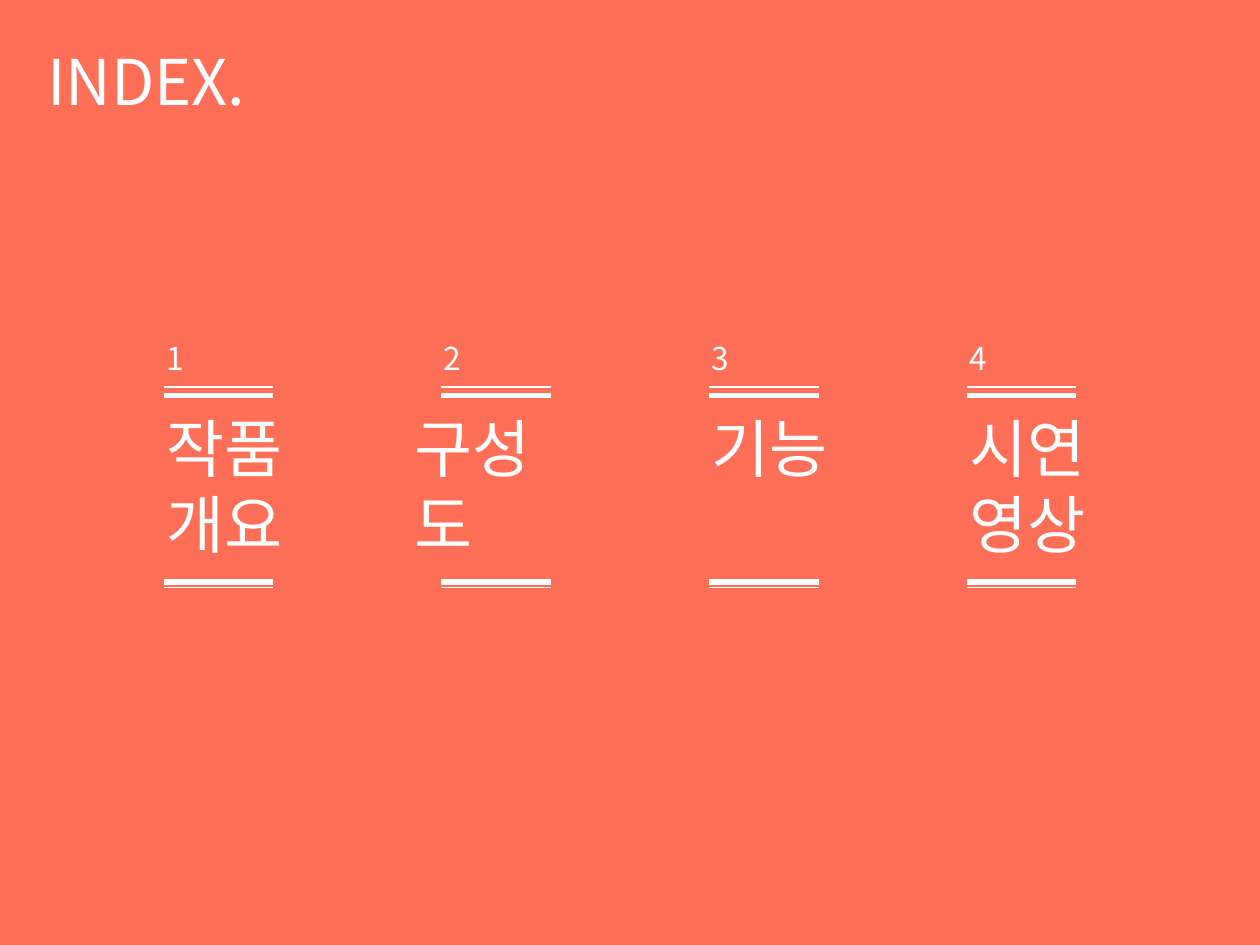
from lxml import etree
from pptx import Presentation
from pptx.dml.color import RGBColor
from pptx.enum.shapes import MSO_CONNECTOR, MSO_SHAPE
from pptx.enum.text import MSO_AUTO_SIZE
from pptx.oxml.ns import qn
from pptx.util import Cm, Pt

RECTANGLE = MSO_SHAPE.RECTANGLE
STRAIGHT = MSO_CONNECTOR.STRAIGHT
FIT_SHAPE = MSO_AUTO_SIZE.SHAPE_TO_FIT_TEXT

WIDTH, HEIGHT = 25.4, 19.05
RULE_WIDTH = 2.2
TEXT_INSET = 0.2
NUMBER_TOP, TITLE_TOP = 6.71, 8.13
LABEL_WIDTH = 3.2
RULES = [(7.8, 0.75), (7.98, 3), (11.73, 3), (11.84, 0.75)]  # top, weight

# rule left, title left, title width, title lines
CHAPTERS = [
    (3.3, 3.1, LABEL_WIDTH, ["작품", "개요"]),
    (8.9, 8.1, 3.98, ["구성도"]),
    (14.3, 14.1, LABEL_WIDTH, ["기능"]),
    (19.5, 19.3, LABEL_WIDTH, ["시연", "영상"]),
]


def color(hex_value):
    return RGBColor.from_string(hex_value)


class IndexSlide:
    font = "Noto Sans CJK KR"
    background = "FF6E57"
    foreground = "FFFFFF"

    def __init__(self, slide):
        self.slide = slide

    def panel(self, left, top, width, height):
        shape = self.slide.shapes.add_shape(
            RECTANGLE, Cm(left), Cm(top), Cm(width), Cm(height))
        shape.shadow.inherit = False
        shape.fill.solid()
        shape.fill.fore_color.rgb = color(self.background)
        shape.line.fill.background()

    def text(self, lines, left, top, width, height, size=36):
        """Place one paragraph per line, in the Latin and East Asian font."""
        box = self.slide.shapes.add_textbox(
            Cm(left), Cm(top), Cm(width), Cm(height))
        frame = box.text_frame
        frame.word_wrap = True
        frame.auto_size = FIT_SHAPE
        frame.text = "\n".join(lines)
        for paragraph in frame.paragraphs:
            for run in paragraph.runs:
                run.font.size = Pt(size)
                run.font.name = self.font
                run.font.color.rgb = color(self.foreground)
                east_asian = etree.SubElement(
                    run.font._element, qn("a:ea"))
                east_asian.set("typeface", self.font)

    def rule(self, left, top, width, weight):
        connector = self.slide.shapes.add_connector(
            STRAIGHT, Cm(left), Cm(top), Cm(left + width), Cm(top))
        connector.line.color.rgb = color(self.foreground)
        connector.line.width = Pt(weight)
        etree.SubElement(connector._element.spPr, qn("a:effectLst"))


def main():
    presentation = Presentation()
    presentation.slide_width = Cm(WIDTH)
    presentation.slide_height = Cm(HEIGHT)
    blank = presentation.slide_layouts[6]
    index = IndexSlide(presentation.slides.add_slide(blank))

    index.panel(0, 0, WIDTH, HEIGHT)
    index.text(["INDEX."], 0.7, 0.74, 8.6, 1.8)

    for number, chapter in enumerate(CHAPTERS, start=1):
        rule_left, title_left, title_width, lines = chapter
        index.text([str(number)], rule_left - TEXT_INSET, NUMBER_TOP,
                   LABEL_WIDTH, 1.02, size=18)
        index.text(lines, title_left, TITLE_TOP, title_width,
                   0.28 + 1.52 * len(lines))
        for top, weight in RULES:
            index.rule(rule_left, top, RULE_WIDTH, weight)

    presentation.save("out.pptx")


if __name__ == "__main__":
    main()
